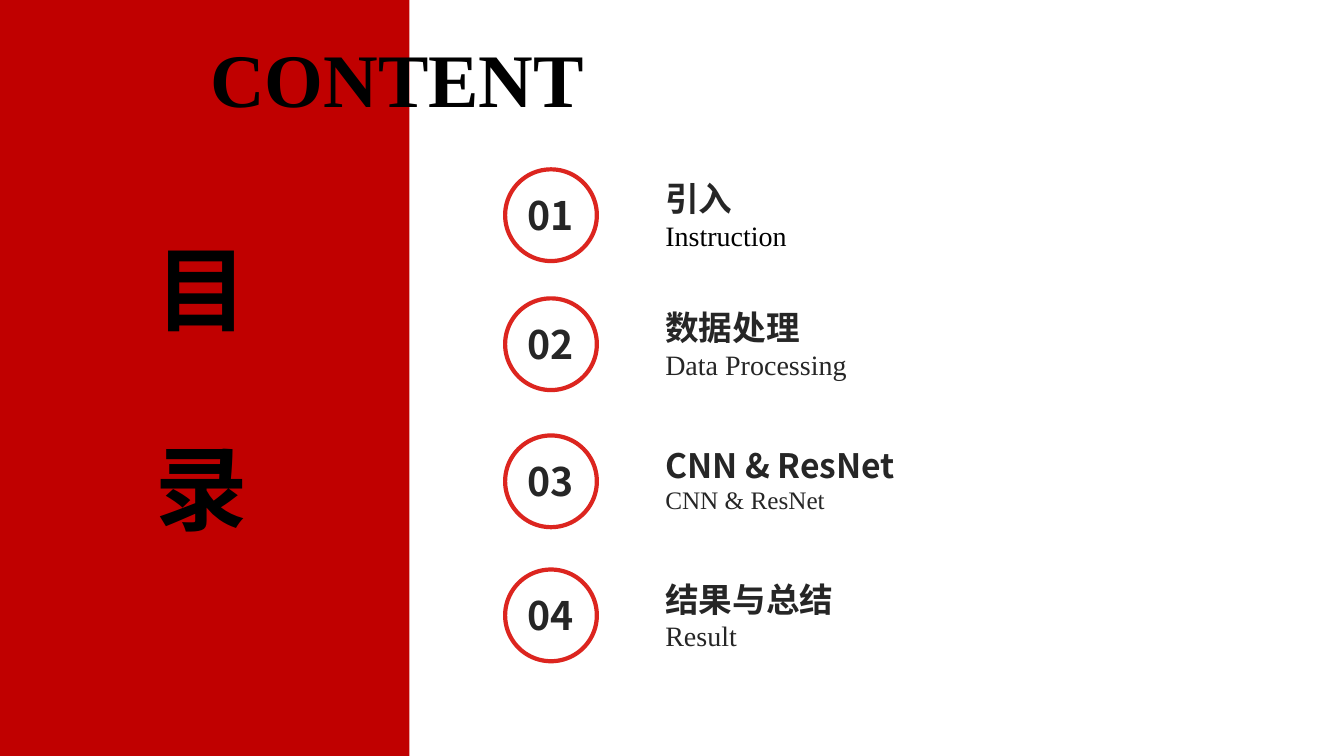
"""Build the contents slide with a red side band and four numbered chapters."""
from lxml.etree import SubElement
from pptx import Presentation
from pptx.dml.color import RGBColor
from pptx.enum.shapes import MSO_SHAPE as Shape
from pptx.enum.text import MSO_ANCHOR as Anchor, MSO_AUTO_SIZE as AutoSize, PP_ALIGN as Align
from pptx.oxml.ns import qn
from pptx.util import Inches, Pt

SANS, SERIF = "Noto Sans CJK SC", "Times New Roman"
RED, RING, INK, BLACK, WHITE = "C00000", "DC251F", "262626", "000000", "FFFFFF"


def color(value):
    return RGBColor.from_string(value)


def add_text(box, lines, align=Align.LEFT):
    frame = box.text_frame
    frame.word_wrap = True
    frame.auto_size = AutoSize.SHAPE_TO_FIT_TEXT
    frame.vertical_anchor = Anchor.TOP
    for index, (words, size, face, ink, bold) in enumerate(lines):
        para = frame.paragraphs[0] if index == 0 else frame.add_paragraph()
        para.alignment = align
        span = para.add_run()
        span.text = words
        font = span.font
        font.size, font.name, font.bold = Pt(size), face, bold
        font.color.rgb = color(ink)
        SubElement(font._element, qn("a:ea")).set("typeface", SANS)
    return frame


deck = Presentation()
deck.slide_width, deck.slide_height = Inches(13.33), Inches(7.5)
page = deck.slides.add_slide(deck.slide_layouts[5])

band = page.shapes.add_shape(Shape.RECTANGLE, 0, 0, Inches(4.06), Inches(7.5))
band.shadow.inherit = False
band.fill.solid()
band.fill.fore_color.rgb = color(RED)
band.line.fill.background()

title = page.shapes.title
title.element.addprevious(band.element)
title.left, title.top, title.width, title.height = map(Inches, (1.64, 0.27, 4.6, 1.01))
add_text(title, [("CONTENT", 54, SERIF, BLACK, True)], Align.CENTER)

heading = page.shapes.add_textbox(Inches(-0.01), Inches(2.25), Inches(4.03), Inches(3.43))
characters = [(word, 66, SERIF, BLACK, True) for word in "目录"]
add_text(heading, characters, Align.CENTER).paragraphs[0].space_after = Pt(63)

chapters = [
    (1.68, "引入", "Instruction", 20, BLACK),
    (2.96, "数据处理", "Data Processing", 20, INK),
    (4.32, "CNN & ResNet", "CNN & ResNet", 18, INK),
    (5.65, "结果与总结", "Result", 20, INK),
]
for number, (top, name, subtitle, size, ink) in enumerate(chapters, 1):
    ring = page.shapes.add_shape(Shape.OVAL, Inches(5.01), Inches(top), Inches(0.91), Inches(0.91))
    ring.shadow.inherit = False
    ring.fill.solid()
    ring.fill.fore_color.rgb = color(WHITE)
    ring.line.color.rgb = color(RING)
    ring.line.width = Pt(3)
    label = page.shapes.add_textbox(Inches(5.09), Inches(top + 0.17), Inches(0.74), Inches(0.57))
    add_text(label, [(f"{number:02}", 28, SANS, INK, True)], Align.CENTER)
    box = page.shapes.add_textbox(Inches(6.5), Inches(top + 0.04), Inches(5.47), Inches(0.84))
    add_text(box, [(name, 24, SANS, INK, True), (subtitle, size, SERIF, ink, False)])

deck.save("out.pptx")
